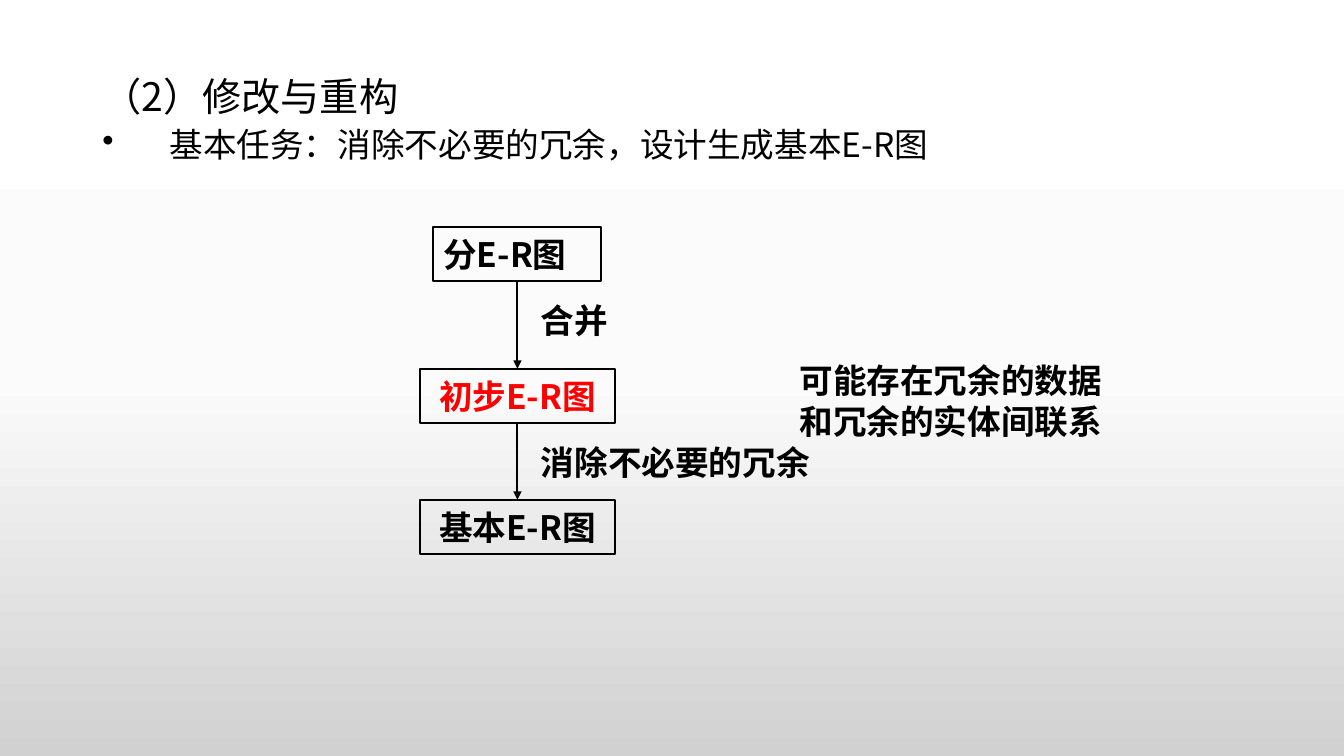
"""Build the slide on turning partial E-R diagrams into a basic E-R diagram."""
import copy
import dataclasses
import itertools
import typing

import lxml.etree
import pptx
import pptx.dml.color
import pptx.enum.shapes
import pptx.enum.text
import pptx.oxml.ns
import pptx.util

ALIGN = pptx.enum.text.PP_ALIGN
QN = pptx.oxml.ns.qn


@dataclasses.dataclass(frozen=True)
class Theme:
    """Colours, font and type sizes of the slide."""
    font: str = "Noto Sans CJK SC"
    ink: str = "000000"
    accent: str = "FF0000"
    background: tuple = ((0, "FFFFFF"), (50, "FBFBFB"), (100, "D1D1D1"))
    heading: int = 28
    body: int = 24
    leading: int = 29
    line: float = 1.5


@dataclasses.dataclass(frozen=True)
class Stage:
    """A boxed diagram stage, centred on the flow axis."""
    text: str
    top: float
    columns: float
    color: str
    align: ALIGN = ALIGN.CENTER
    inset: float = 0.05


@dataclasses.dataclass(frozen=True)
class Label:
    """Free text placed on the grid."""
    text: str
    left: float
    top: float
    columns: float
    rows: float
    bold: bool = True


THEME = Theme()
WIDTH, HEIGHT = pptx.util.Inches(13.33), pptx.util.Inches(7.5)
COLUMNS, ROWS = 160, 90
AXIS, STAGE_ROWS, LABEL_LEFT = 61.6, 6.5, 63.2
HEADING = Label("（2）修改与重构", 11, 8.5, 138, 5, False)
TASK = Label("基本任务：消除不必要的冗余，设计生成基本E-R图", 11, 13.9, 138, 5, False)
STAGES = (
    Stage("分E-R图", 27, 20, THEME.ink, ALIGN.JUSTIFY, 0.1),
    Stage("初步E-R图", 43.9, 23.2, THEME.accent),
    Stage("基本E-R图", 59.5, 23.2, THEME.ink),
)
LABELS = (
    Label("合并", LABEL_LEFT, 34.8, 15, 5.2),
    Label("消除不必要的冗余", LABEL_LEFT, 51.7, 36.4, 6.5),
    Label("可能存在冗余的数据\n和冗余的实体间联系", 94, 42, 39, 10),
)


def col(columns: float) -> int:
    """Return a horizontal length in grid columns."""
    return round(WIDTH * columns / COLUMNS)


def row(rows: float) -> int:
    """Return a vertical length in grid rows."""
    return round(HEIGHT * rows / ROWS)


def rgb(color: str) -> pptx.dml.color.RGBColor:
    """Return a colour object for a hex string."""
    return pptx.dml.color.RGBColor.from_string(color)


def write(shape: typing.Any, text: str, size: int = THEME.body, color: str = THEME.ink,
          bold: bool = True, align: ALIGN = ALIGN.JUSTIFY, inset: float = 0.1) -> None:
    """Fill a shape with formatted text."""
    frame = shape.text_frame
    frame.text = text
    frame.word_wrap = True
    frame.auto_size = pptx.enum.text.MSO_AUTO_SIZE.NONE
    frame.vertical_anchor = pptx.enum.text.MSO_ANCHOR.TOP
    frame.margin_left = frame.margin_right = pptx.util.Inches(inset)
    frame.margin_top, frame.margin_bottom = pptx.util.Inches(0.07), 0
    for paragraph in frame.paragraphs:
        paragraph.alignment = align
        paragraph.space_before = pptx.util.Pt(0)
        paragraph.line_spacing = pptx.util.Pt(THEME.leading)
        paragraph.font.name = THEME.font
        paragraph.font.size = pptx.util.Pt(size)
        paragraph.font.bold = bold
        paragraph.font.color.rgb = rgb(color)
        for run in paragraph.runs:
            east_asian = lxml.etree.SubElement(run.font._element, QN("a:ea"))
            east_asian.set("typeface", THEME.font)


def paint_background(slide: typing.Any) -> None:
    """Give the slide its vertical three-stop gradient."""
    fill = slide.background.fill
    fill.gradient()
    fill.gradient_angle = 270
    stop_list = next(slide.element.iter(QN("a:gsLst")))
    stop_list.insert(1, copy.deepcopy(stop_list[0]))
    for stop, element, (position, color) in zip(fill.gradient_stops, stop_list, THEME.background):
        element.set("pos", str(position * 1000))
        stop.color.rgb = rgb(color)


def add_heading(slide: typing.Any) -> None:
    """Place the heading in the title placeholder."""
    title = slide.shapes.title
    title.left, title.top = col(HEADING.left), row(HEADING.top)
    title.width, title.height = col(HEADING.columns), row(HEADING.rows)
    write(title, HEADING.text, size=THEME.heading, bold=HEADING.bold)


def add_label(slide: typing.Any, label: Label) -> typing.Any:
    """Add a text box and return it."""
    box = slide.shapes.add_textbox(col(label.left), row(label.top), col(label.columns), row(label.rows))
    write(box, label.text, bold=label.bold)
    return box


def add_task(slide: typing.Any) -> None:
    """Add the bulleted task line with a hanging indent."""
    properties = add_label(slide, TASK).text_frame.paragraphs[0]._p.get_or_add_pPr()
    hanging = col(8)
    properties.set("marL", str(hanging))
    properties.set("indent", str(-hanging))
    bullet = lxml.etree.Element(QN("a:buChar"), char="•")
    properties.find(QN("a:defRPr")).addprevious(bullet)


def add_stage(slide: typing.Any, stage: Stage) -> None:
    """Add one outlined stage box."""
    box = slide.shapes.add_shape(
        pptx.enum.shapes.MSO_SHAPE.RECTANGLE, col(AXIS - stage.columns / 2), row(stage.top),
        col(stage.columns), row(STAGE_ROWS))
    box.shadow.inherit = False
    box.fill.background()
    box.line.color.rgb = rgb(THEME.ink)
    box.line.width = pptx.util.Pt(THEME.line)
    write(box, stage.text, color=stage.color, align=stage.align, inset=stage.inset)


def add_arrow(slide: typing.Any, source: Stage, target: Stage) -> None:
    """Join two consecutive stages with an arrow."""
    arrow = slide.shapes.add_connector(
        pptx.enum.shapes.MSO_CONNECTOR.STRAIGHT, col(AXIS), row(source.top + STAGE_ROWS),
        col(AXIS), row(target.top))
    arrow.line.color.rgb = rgb(THEME.ink)
    arrow.line.width = pptx.util.Pt(THEME.line)
    lxml.etree.SubElement(arrow.line._get_or_add_ln(), QN("a:tailEnd"), type="triangle")
    lxml.etree.SubElement(arrow._element.spPr, QN("a:effectLst"))


def main() -> None:
    """Build and save the presentation."""
    deck = pptx.Presentation()
    deck.slide_width, deck.slide_height = WIDTH, HEIGHT
    slide = deck.slides.add_slide(deck.slide_layouts[5])
    paint_background(slide)
    add_heading(slide)
    add_task(slide)
    for stage in STAGES:
        add_stage(slide, stage)
    for source, target in itertools.pairwise(STAGES):
        add_arrow(slide, source, target)
    for label in LABELS:
        add_label(slide, label)
    deck.save("out.pptx")


if __name__ == "__main__":
    main()
